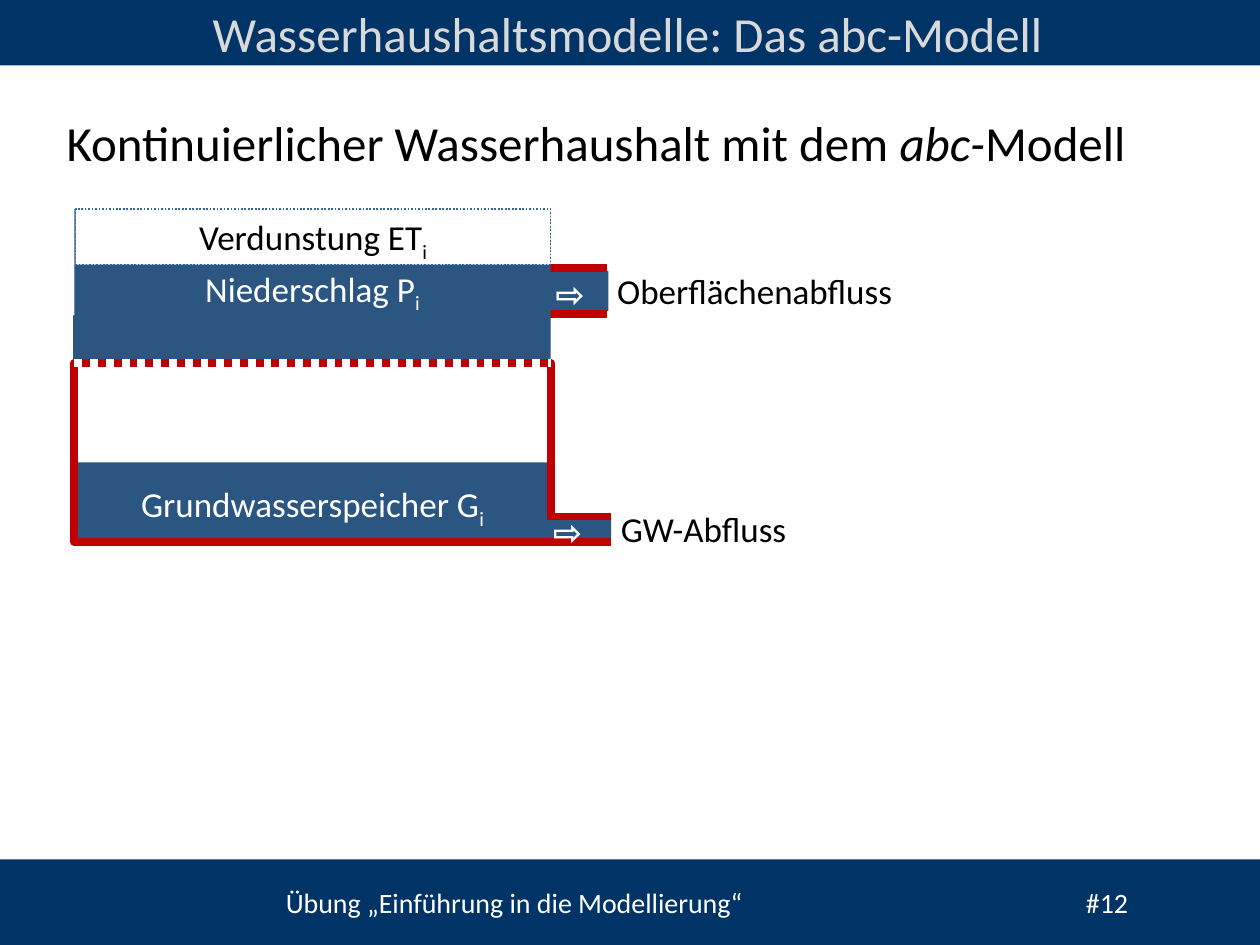
from lxml import etree
from pptx import Presentation, util as u
from pptx.dml.color import RGBColor
from pptx.enum import dml, shapes, text
from pptx.oxml import ns

NAVY = RGBColor(0x00, 0x33, 0x66)
WATER = RGBColor(0x2B, 0x56, 0x81)
BORDER = RGBColor(0x33, 0x66, 0x99)
RED = RGBColor(0xC0, 0x00, 0x00)
GREY = RGBColor(0xD9, 0xD9, 0xD9)
WHITE = RGBColor(0xFF, 0xFF, 0xFF)
BLACK = RGBColor(0x00, 0x00, 0x00)
FONT = "Calibri"
WALL = 4.5

WIDTH, HEIGHT = 10, 7.5
# Storage column: left edge, width and the levels that divide it
LEFT, COLUMN = 0.59, 3.78
RIGHT = LEFT + COLUMN
RAIN_TOP, EVAPORATION_END, SOIL, WATER_TABLE, BOTTOM = 1.66, 2.1, 2.88, 3.67, 4.3
PIPE_END = 4.85
LABEL_HEIGHT = 0.44

TITLE = [("Wasserhaushaltsmodelle: Das abc-Modell", "")]
HEADING = [("Kontinuierlicher Wasserhaushalt mit dem ", ""), ("abc-", "italic"), ("Modell", "")]
FOOTER = [("Übung „Einführung in die Modellierung“\t#12", "")]
EVAPORATION = [("Verdunstung ET", ""), ("i", "sub")]
RAIN = [("Niederschlag P", ""), ("i", "sub")]
GROUNDWATER = [("Grundwasserspeicher G", ""), ("i", "sub")]
# left, top, width, runs, colour
OUTFLOW_LABELS = [
    (4.8, 2.09, 2.57, [("Oberflächenabfluss", "")], BLACK),
    (4.83, 3.98, 2.45, [("GW-Abfluss", "")], BLACK),
    (4.31, 2.11, 1.1, [("⇨", "bold")], WHITE),
    (4.29, 4.0, 1.1, [("⇨", "bold")], WHITE),
]


def inches(*lengths):
    return [u.Inches(length) for length in lengths]


def write(shape, runs, size, color, align=text.PP_ALIGN.LEFT):
    frame = shape.text_frame
    frame.word_wrap = True
    frame.vertical_anchor = text.MSO_ANCHOR.TOP
    para = frame.paragraphs[0]
    para.alignment = align
    for words, style in runs:
        span = para.add_run()
        span.text = words
        font = span.font
        font.name, font.size, font.color.rgb = FONT, u.Pt(size), color
        if style == "italic":
            font.italic = True
        elif style == "bold":
            font.bold = True
        elif style == "sub":
            span._r.get_or_add_rPr().set("baseline", "-25000")
    return para


def add_label(page, place, runs, size=20, color=BLACK, align=text.PP_ALIGN.LEFT):
    return write(page.shapes.add_textbox(*inches(*place)), runs, size, color, align)


def add_box(page, place, fill=None, line=None, width=1, dash=None):
    box = page.shapes.add_shape(shapes.MSO_SHAPE.RECTANGLE, *inches(*place))
    box.shadow.inherit = False
    if fill is None:
        box.fill.background()
    else:
        box.fill.solid()
        box.fill.fore_color.rgb = fill
    if line is None:
        box.line.fill.background()
    else:
        box.line.color.rgb = line
        box.line.width = u.Pt(width)
        box.line.dash_style = dash
    return box


def add_level(page, left, right, y, color=RED, dash=None):
    """Draw a thick horizontal line."""
    level = page.shapes.add_connector(
        shapes.MSO_CONNECTOR.STRAIGHT, *inches(left, y, right, y))
    level.line.color.rgb = color
    level.line.width = u.Pt(WALL)
    level.line.dash_style = dash
    etree.SubElement(level._element.spPr, ns.qn("a:effectLst"))


def add_frame(page):
    add_box(page, (0, 0, WIDTH, 0.52), NAVY)
    add_box(page, (0, 6.82, WIDTH, 0.68), NAVY)
    para = add_label(page, (2.17, 6.98, 7.83, 0.37), FOOTER, 16, WHITE)
    tabs = etree.SubElement(para._p.get_or_add_pPr(), ns.qn("a:tabLst"))
    etree.SubElement(tabs, ns.qn("a:tab"), pos=str(u.Inches(6.35)), algn="l")

    title = page.shapes.title
    page.shapes.element.append(title.element)  # in front of the header bar
    title.left, title.top, title.width, title.height = inches(0, -0.02, 9.96, 0.52)
    write(title, TITLE, 28, GREY, text.PP_ALIGN.CENTER)
    title.text_frame.auto_size = text.MSO_AUTO_SIZE.NONE
    title.text_frame.margin_left = title.text_frame.margin_right = 0
    add_label(page, (0.43, 0.84, 8.98, 0.57), HEADING, 28)


def add_model(page):
    center = text.PP_ALIGN.CENTER
    add_box(page, (3.96, 2.15, 0.87, 0.32), WATER)
    for y in (2.49, 2.13):
        add_level(page, 4.31, 4.82, y)

    add_box(page, (LEFT, WATER_TABLE, COLUMN, BOTTOM - WATER_TABLE), WATER)
    add_label(page, (LEFT, 3.78, COLUMN, LABEL_HEIGHT), GROUNDWATER, 20, WHITE, center)
    add_level(page, 4.34, PIPE_END, BOTTOM)

    add_box(page, (LEFT, RAIN_TOP, COLUMN, 1.19), WATER)
    add_label(page, (LEFT, 2.07, COLUMN, LABEL_HEIGHT), RAIN, 20, WHITE, center)
    evaporation = add_box(page, (0.6, RAIN_TOP, 3.77, EVAPORATION_END - RAIN_TOP),
                          WHITE, BORDER, 1, dml.MSO_LINE.ROUND_DOT)
    write(evaporation, EVAPORATION, 20, BLACK, center)
    add_box(page, (LEFT, 2.51, 3.77, 0.35), WATER, WATER)

    add_box(page, (LEFT, SOIL, COLUMN, BOTTOM - SOIL), line=RED, width=WALL)
    add_level(page, LEFT, RIGHT, SOIL, WHITE, dml.MSO_LINE.ROUND_DOT)
    add_box(page, (3.94, 4.11, PIPE_END - 3.94, 0.16), WATER)
    add_level(page, 4.34, PIPE_END, 4.1)

    for left, top, width, runs, color in OUTFLOW_LABELS:
        add_label(page, (left, top, width, LABEL_HEIGHT), runs, 20, color)


def main():
    deck = Presentation()
    deck.slide_width, deck.slide_height = inches(WIDTH, HEIGHT)
    page = deck.slides.add_slide(deck.slide_layouts[5])
    add_frame(page)
    add_model(page)
    deck.save("out.pptx")


if __name__ == "__main__":
    main()
